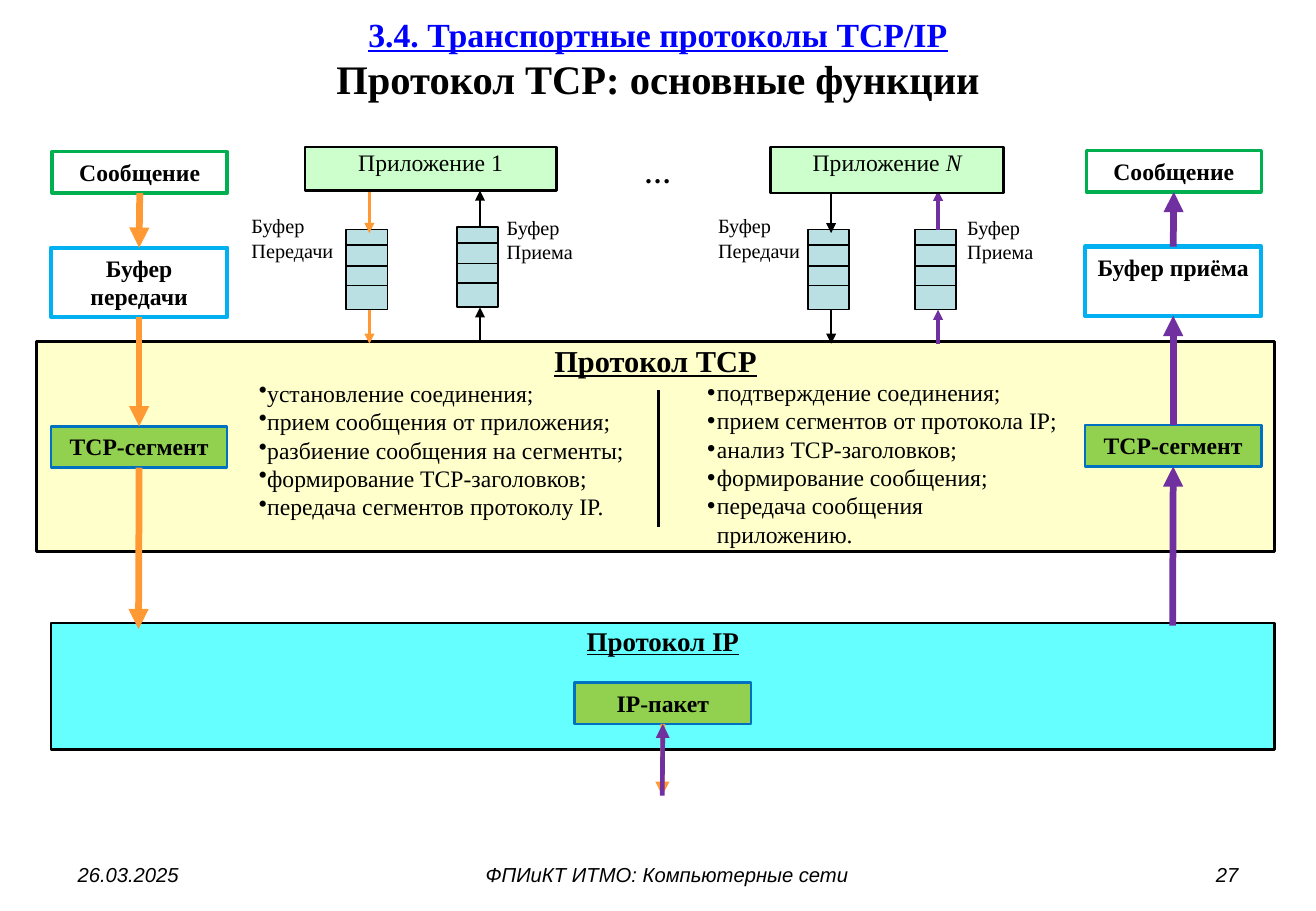
from lxml import etree
from pptx import Presentation
from pptx.dml.color import RGBColor
from pptx.enum.shapes import MSO_CONNECTOR, MSO_SHAPE
from pptx.enum.text import MSO_ANCHOR, MSO_AUTO_SIZE, PP_ALIGN
from pptx.oxml.ns import qn
from pptx.util import Pt

PX = 9144
TOP, BOTTOM = 0, 2
LEFT, CENTER, RIGHT = PP_ALIGN.LEFT, PP_ALIGN.CENTER, PP_ALIGN.RIGHT
ANCHOR_TOP, ANCHOR_MIDDLE = MSO_ANCHOR.TOP, MSO_ANCHOR.MIDDLE
NO_AUTOSIZE = MSO_AUTO_SIZE.NONE
RECTANGLE, STRAIGHT = MSO_SHAPE.RECTANGLE, MSO_CONNECTOR.STRAIGHT
SERIF, SANS = "Times New Roman", "Arial"
COLORS = {
    "black": "000000", "title": "0000FF", "tcp": "FEFFCB", "ip": "66FFFF",
    "buffer": "BBE0E3", "app": "CCFFCC", "send": "FF9933", "receive": "7030A0",
    "message": "00B050", "frame": "00B0F0", "segment": "92D050", "edge": "0070C0",
}
TIGHT, NORMAL, NONE = (2, 1), (10, 5), (0, 0)
SENDING = [
    "установление соединения;",
    "прием сообщения от приложения;",
    "разбиение сообщения на сегменты;",
    "формирование TCP-заголовков;",
    "передача сегментов протоколу IP.",
]
RECEIVING = [
    "подтверждение соединения;",
    "прием сегментов от протокола IP;",
    "анализ TCP-заголовков;",
    "формирование сообщения;",
    "передача сообщения приложению.",
]


def color(name):
    """Return the palette colour with this name."""
    return RGBColor.from_string(COLORS[name])


def write(para, text, size=14, font=SERIF, ink="black", bold=False, italic=False,
          underline=False, align=LEFT):
    """Add formatted text to a paragraph."""
    para.alignment = align
    para.space_before = Pt(0)
    span = para.add_run()
    span.text = text
    style = span.font
    style.size, style.name = Pt(size), font
    style.bold, style.italic, style.underline = bold, italic, underline
    style.color.rgb = color(ink)


class Slide:
    """Draws styled elements on the current page."""

    def __init__(self, deck):
        """Add a page with a title and a body."""
        self.page = deck.slides.add_slide(deck.slide_layouts[1])
        self.shapes = self.page.shapes

    def frame(self, shape, inset=NORMAL, anchor=ANCHOR_TOP):
        """Prepare the text frame of a shape and return its first paragraph."""
        frame = shape.text_frame
        frame.auto_size, frame.word_wrap = NO_AUTOSIZE, True
        frame.vertical_anchor = anchor
        frame.margin_left = frame.margin_right = inset[0] * PX
        frame.margin_top = frame.margin_bottom = inset[1] * PX
        return frame.paragraphs[0]

    def place(self, shape, left, top, width, height):
        """Move a placeholder."""
        shape.left, shape.top = left * PX, top * PX
        shape.width, shape.height = width * PX, height * PX

    def title(self, lines, *area):
        """Fill the title with lines of text and their formats."""
        shape = self.shapes.title
        self.place(shape, *area)
        para = self.frame(shape, anchor=ANCHOR_MIDDLE)
        for index, (text, style) in enumerate(lines):
            if index:
                para.add_line_break()
            write(para, text, bold=True, align=CENTER, **style)

    def box(self, left, top, width, height, line, weight, fill=None, text="",
            inset=NORMAL, **style):
        """Draw a rectangle with optional text."""
        shape = self.shapes.add_shape(RECTANGLE, left * PX, top * PX, width * PX, height * PX)
        shape.shadow.inherit = False
        shape.line.color.rgb, shape.line.width = color(line), Pt(weight)
        if fill:
            shape.fill.solid()
            shape.fill.fore_color.rgb = color(fill)
        else:
            shape.fill.background()
        if text:
            write(self.frame(shape, inset), text, align=CENTER, **style)
        return shape

    def text(self, left, top, width, height, text, inset=NORMAL, **style):
        """Add a text box."""
        shape = self.shapes.add_textbox(left * PX, top * PX, width * PX, height * PX)
        write(self.frame(shape, inset), text, **style)

    def bullet(self, para, text, margin, indent):
        """Write one bulleted paragraph."""
        properties = para._p.get_or_add_pPr()
        properties.set("marL", str(margin * PX))
        properties.set("indent", str(indent * PX))
        etree.SubElement(properties, qn("a:buChar")).set("char", "•")
        write(para, text)

    def body(self, items, *area):
        """Fill the body with a list and bring it to the front."""
        shape = self.shapes.placeholders[1]
        self.place(shape, *area)
        para = self.frame(shape)
        self.shapes._spTree.append(shape._element)
        for index, item in enumerate(items):
            self.bullet(shape.text_frame.add_paragraph() if index else para, item, 8, -8)

    def line(self, start, end, ink="black", weight=1.5, arrow=False):
        """Draw a line between points or (shape, side) pairs."""
        ends = [start, end]
        joined = [not isinstance(spot[0], int) for spot in ends]
        points = [0 if join else part * PX for spot, join in zip(ends, joined) for part in spot]
        connector = self.shapes.add_connector(STRAIGHT, *points)
        if joined[0]:
            connector.begin_connect(*start)
        if joined[1]:
            connector.end_connect(*end)
        connector.line.color.rgb, connector.line.width = color(ink), Pt(weight)
        if arrow:
            tail = etree.SubElement(connector.line._get_or_add_ln(), qn("a:tailEnd"))
            tail.set("type", "triangle")
        etree.SubElement(connector._element.spPr, qn("a:effectLst"))

    def flow(self, upper, lower, up, ink, weight):
        """Draw a vertical arrow up or down."""
        start, end = (lower, upper) if up else (upper, lower)
        self.line(start, end, ink, weight, arrow=True)

    def buffer(self, left, top, app, protocol, up, ink, weight):
        """Draw a queue with arrows to the application and the protocol."""
        self.box(left, top, 34, 66, "black", 1, "buffer")
        for offset in (13, 30, 46):
            self.line((left, top + offset), (left + 34, top + offset), weight=1)
        middle = left + 19
        self.flow((middle, app), (middle, top + (0 if up else 3)), up, ink, weight)
        self.flow((middle, top + 66), (middle, protocol), up, ink, weight)

    def packet(self, left, top, text):
        """Draw a data unit."""
        return self.box(left, top, 145, 34, "edge", 1.5, "segment", text, bold=True)

    def chain(self, left, top, buffer_text, up, ink, network):
        """Draw the path of a message between application and IP."""
        message = self.box(left + 1, top, 144, 34, "message", 2, text="Сообщение", bold=True)
        store = self.box(left, top + 79, 145, 57, "frame", 2.5, text=buffer_text, bold=True)
        segment = self.packet(left, top + 226, "TCP-сегмент")
        self.flow((message, BOTTOM), (store, TOP), up, ink, 4)
        self.flow((store, BOTTOM), (segment, TOP), up, ink, 4)
        self.flow((segment, BOTTOM), (left + 72, network), up, ink, 4)


def main():
    """Build the slide."""
    deck = Presentation()
    deck.slide_width, deck.slide_height = 1083 * PX, 750 * PX
    slide = Slide(deck)
    slide.title([
        ("3.4. Транспортные протоколы TCP/IP", {"size": 20, "ink": "title", "underline": True}),
        ("Протокол TCP: основные функции", {"size": 24}),
    ], 54, 1, 975, 94)

    heading = {"inset": TIGHT, "bold": True, "underline": True}
    tcp = slide.box(30, 281, 1019, 173, "black", 1.5, "tcp", "Протокол TCP", size=18, **heading)
    for item in SENDING:
        slide.bullet(tcp.text_frame.add_paragraph(), item, 165, 16)
    slide.box(42, 513, 1007, 104, "black", 1.5, "ip", "Протокол IP", size=16, **heading)

    for queue in (
        (285, 189, 158, 283, False, "send", 2),
        (376, 187, 157, 281, True, "black", 1.5),
        (665, 189, 160, 283, False, "black", 1.5),
        (753, 189, 157, 283, True, "receive", 2),
    ):
        slide.buffer(*queue)
    slide.box(251, 121, 207, 36, "black", 1.5, "app", "Приложение 1", inset=TIGHT)
    last = slide.box(634, 121, 192, 38, "black", 1.5, "app", "Приложение ", inset=TIGHT)
    write(last.text_frame.paragraphs[0], "N", italic=True, align=CENTER)
    slide.text(513, 124, 58, 37, "…", size=16, bold=True, italic=True, align=CENTER)
    for left, top, width, label in (
        (207, 176, 73, "Буфер Передачи"), (417, 177, 56, "Буфер Приема"),
        (591, 176, 73, "Буфер Передачи"), (796, 177, 56, "Буфер Приема"),
    ):
        slide.text(left, top, width, 41, label, inset=NONE, size=12)

    slide.body(RECEIVING, 572, 306, 314, 128)
    slide.line((542, 321), (542, 434))
    slide.chain(42, 125, "Буфер передачи", False, "send", 518)
    slide.chain(893, 124, "Буфер приёма", True, "receive", 515)
    packet = slide.packet(473, 562, "IP-пакет")
    for up, ink in ((False, "send"), (True, "receive")):
        slide.flow((packet, BOTTOM), (545, 655), up, ink, 2.75)

    for left, width, text, align in (
        (54, 253, "26.03.2025", LEFT),
        (335, 428, "ФПИиКТ ИТМО: Компьютерные сети", CENTER),
        (776, 253, "27", RIGHT),
    ):
        slide.text(left, 705, width, 30, text, size=12, font=SANS, italic=True, align=align)
    deck.save("out.pptx")


if __name__ == "__main__":
    main()
